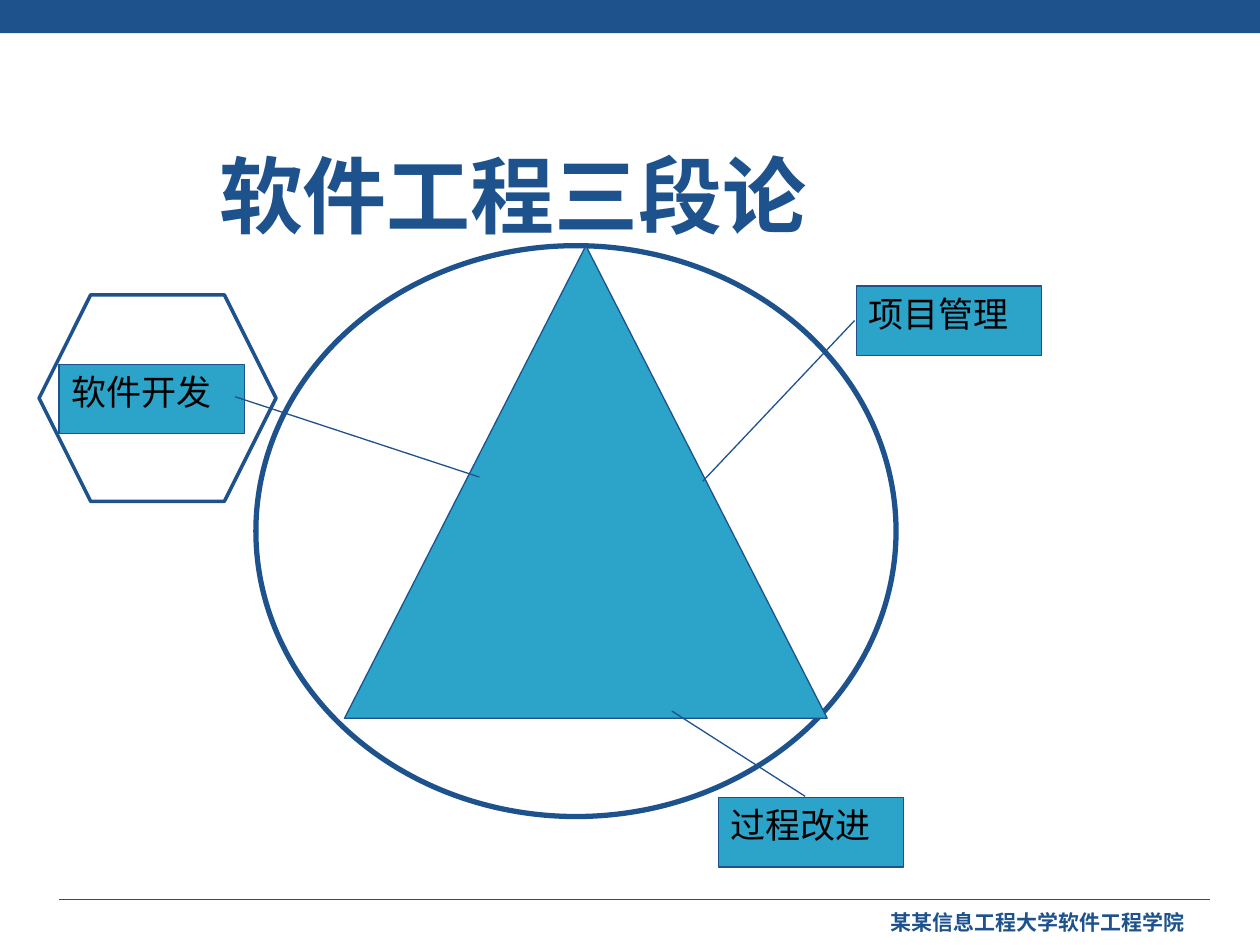
from pptx import Presentation
from pptx.dml.color import RGBColor
from pptx.enum.shapes import MSO_CONNECTOR, MSO_SHAPE
from pptx.enum.text import MSO_ANCHOR, PP_ALIGN
from pptx.oxml.ns import qn
from pptx.util import Pt
from lxml import etree

RECT, OVAL = MSO_SHAPE.RECTANGLE, MSO_SHAPE.OVAL
CONE, HEX = MSO_SHAPE.ISOSCELES_TRIANGLE, MSO_SHAPE.HEXAGON
CALL = MSO_SHAPE.LINE_CALLOUT_1
LINE = MSO_CONNECTOR.STRAIGHT
LEFT, RIGHT = PP_ALIGN.LEFT, PP_ALIGN.RIGHT
TOP = MSO_ANCHOR.TOP

HUES = {"navy": "1D528D", "teal": "2CA3C8", "black": "000000"}
WIDE, HIGH = 720, 540
BOX = (105.84, 39.6)

TITLE = ("软件工程三段论", (118.1, 78.5, 355.7, 65.5), LEFT, False,
         {"size": Pt(48), "name": "Times New Roman", "bold": True})
FOOT = ("某某信息工程大学软件工程学院", (455.8, 516.2, 228.2, 23.8), RIGHT, True,
        {"size": Pt(12), "name": "DejaVu Sans", "bold": True})
LABEL = {"size": Pt(20), "name": "Times New Roman"}

FORMS = [
    (RECT, (0, 0, WIDE, 18.9), "navy", None),
    (OVAL, (146.2, 140.4, 365.8, 326.2), None, 3),
    (CONE, (196.9, 140.4, 275.8, 270), "teal", 0.75),
]
CALLS = [
    ("软件开发", (33.8, 208.1), (0.47, 0.95, 1.63, 2.27)),
    ("项目管理", (489.4, 163.4), (0.5, -0.01, 2.82, -0.83)),
    ("过程改进", (410.4, 455.8), (-0.02, 0.47, -1.25, -0.25)),
]
FRAME = (HEX, (22.3, 168.5, 135.4, 118.1), None, 2)
RULE = (33.8, 514.1, 691.2, 514.1)


def hue(name):
    return RGBColor.from_string(HUES[name])


def write(shape, text, font, tint, align, wrap):
    frame = shape.text_frame
    frame.word_wrap = wrap
    frame.vertical_anchor = TOP
    para = frame.paragraphs[0]
    para.alignment = align
    run = para.add_run()
    run.text = text
    for key, val in font.items():
        setattr(run.font, key, val)
    run.font.color.rgb = hue(tint)


def draw(slide, kind, area, fill, line):
    shape = slide.shapes.add_shape(kind, *map(Pt, area))
    shape.shadow.inherit = False
    if fill:
        shape.fill.solid()
        shape.fill.fore_color.rgb = hue(fill)
    else:
        shape.fill.background()
    if line:
        shape.line.color.rgb = hue("navy")
        shape.line.width = Pt(line)
    else:
        shape.line.fill.background()
    return shape


def main():
    deck = Presentation()
    deck.slide_width, deck.slide_height = Pt(WIDE), Pt(HIGH)
    slide = deck.slides.add_slide(deck.slide_layouts[6])

    for form in FORMS:
        draw(slide, *form)

    rule = slide.shapes.add_connector(LINE, *map(Pt, RULE))
    rule.line.color.rgb = hue("navy")
    rule.line.width = Pt(0.75)
    etree.SubElement(rule.element.spPr, qn("a:effectLst"))

    for text, area, align, wrap, font in (TITLE, FOOT):
        box = slide.shapes.add_textbox(*map(Pt, area))
        write(box, text, font, "navy", align, wrap)

    for text, spot, tail in CALLS:
        call = draw(slide, CALL, spot + BOX, "teal", 0.75)
        for i, val in enumerate(tail):
            call.adjustments[i] = val
        write(call, text, LABEL, "black", LEFT, True)

    draw(slide, *FRAME)
    deck.save("out.pptx")


if __name__ == "__main__":
    main()
